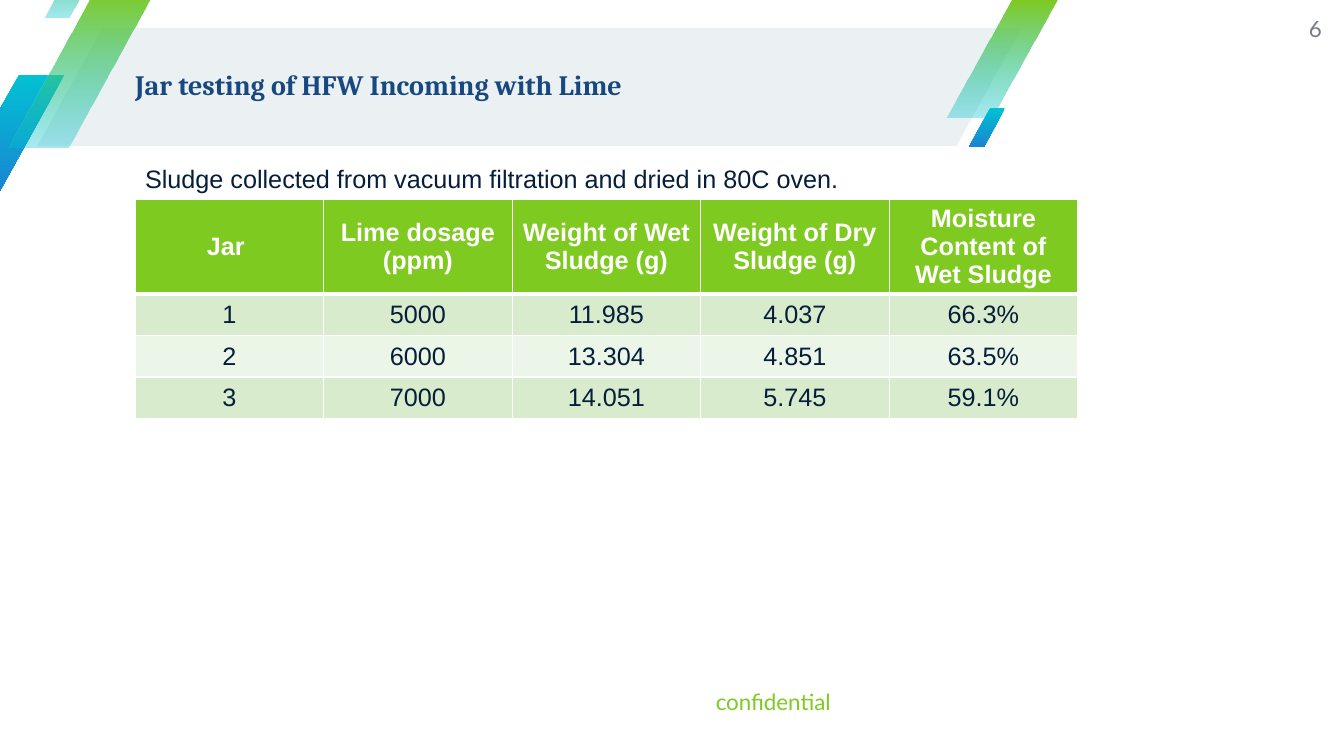
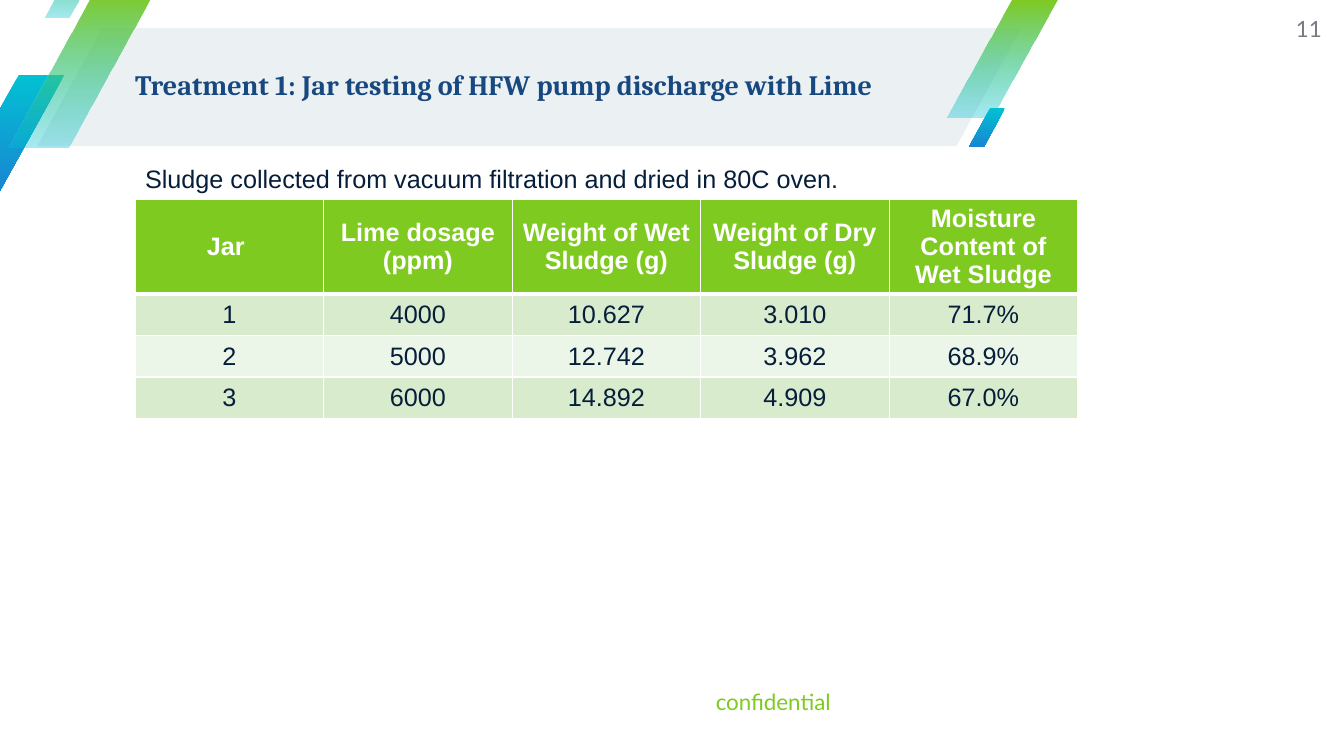
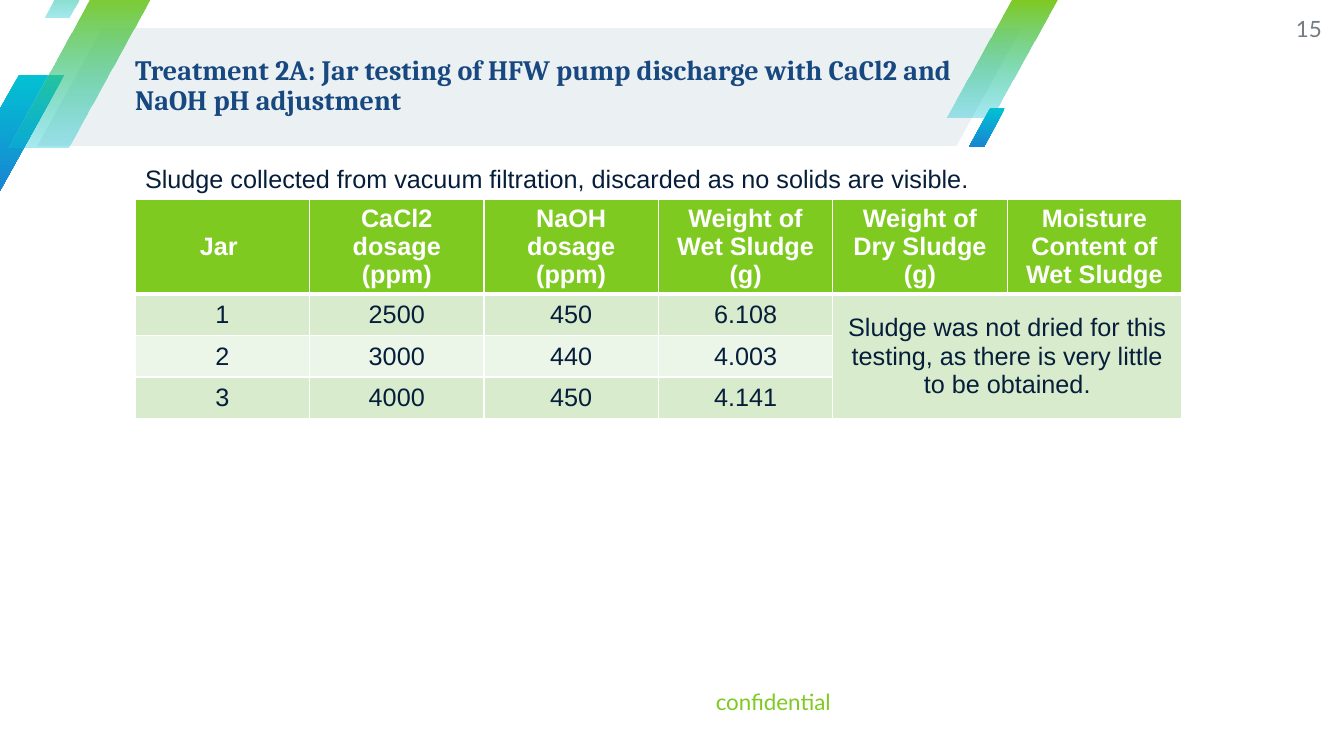
from dataclasses import dataclass

from lxml.etree import SubElement
from pptx import Presentation
from pptx.dml.color import RGBColor
from pptx.enum.shapes import MSO_SHAPE as Shape
from pptx.enum.text import MSO_ANCHOR as Anchor, MSO_AUTO_SIZE as AutoSize, PP_ALIGN as Align
from pptx.oxml.ns import qn
from pptx.util import Inches, Pt


@dataclass(frozen=True)
class Theme:
    green: str = "7FCA20"
    cyan: str = "02C1D3"
    blue: str = "1985D2"
    band: str = "EBF0F3"
    title: str = "184880"
    ink: str = "061E3A"
    gray: str = "757C83"
    white: str = "FFFFFF"
    row_dark: str = "D8ECCD"
    row_light: str = "ECF6E8"
    title_font: str = "Cambria"
    body_font: str = "Arial"
    label_font: str = "Lato"
    title_size: int = 20
    body_size: int = 18
    label_size: int = 16


THEME = Theme()
LEFT = 1.34
GREEN_FADE = (THEME.green, THEME.cyan, 34)
BLUE_FADE = (THEME.cyan, THEME.blue, 100)
STRIPES = [
    (-0.46, 0.74, 1.1, 1.17, BLUE_FADE),
    (9.39, 0, 1.1, 1.17, GREEN_FADE),
    (0.08, -0.1, 1.46, 1.56, GREEN_FADE),
    (0.44, -0.48, 0.61, 0.65, GREEN_FADE),
    (9.61, 1.07, 0.36, 0.39, BLUE_FADE),
]


def write(frame, text, font=THEME.body_font, size=THEME.body_size, color=THEME.ink,
          bold=False, align=Align.LEFT, spacing=None):
    paragraph = frame.paragraphs[0]
    paragraph.alignment = align
    paragraph.line_spacing = spacing
    run = paragraph.add_run()
    run.text = text
    run.font.name = font
    run.font.size = Pt(size)
    run.font.bold = bold
    run.font.color.rgb = RGBColor.from_string(color)


class Deck:
    """Holds the theme, the presentation and the slide being built."""

    def __init__(self, theme):
        self.theme = theme
        self.presentation = Presentation()
        self.presentation.slide_width = Inches(13.33)
        self.presentation.slide_height = Inches(7.5)
        self.slide = None

    def add_slide(self, title, number):
        theme = self.theme
        self.slide = self.presentation.slides.add_slide(self.presentation.slide_layouts[5])
        band = self.parallelogram(0.37, 0.28, 9.76, 1.17, 0.55)
        band.fill.solid()
        band.fill.fore_color.rgb = RGBColor.from_string(theme.band)
        for *box, fade in STRIPES:
            self.stripe(*box, fade)
        self.label("confidential", 4.67, 6.67, 3.57, theme.green)
        self.title(title)
        self.label(number, 12.48, 0, 0.63, theme.gray)

    def parallelogram(self, left, top, width, height, slant):
        shape = self.slide.shapes.add_shape(
            Shape.PARALLELOGRAM, Inches(left), Inches(top), Inches(width), Inches(height))
        shape.adjustments[0] = slant
        shape.shadow.inherit = False
        shape.line.fill.background()
        return shape

    def stripe(self, left, top, width, height, fade):
        start, end, opacity = fade
        shape = self.parallelogram(left, top, width, height, 0.59)
        shape.fill.gradient()
        shape.fill.gradient_angle = 270
        for stop, color in zip(shape.fill.gradient_stops, (start, end)):
            stop.color.rgb = RGBColor.from_string(color)
        if opacity < 100:
            last_color = list(shape.element.iter(qn("a:srgbClr")))[-1]
            SubElement(last_color, qn("a:alpha"), val=str(opacity * 1000))

    def plain_frame(self, shape):
        frame = shape.text_frame
        frame.word_wrap = True
        frame.auto_size = AutoSize.NONE
        frame.vertical_anchor = Anchor.MIDDLE
        frame.margin_left = frame.margin_right = frame.margin_top = frame.margin_bottom = 0
        return frame

    def title(self, text):
        shape = self.slide.shapes.title
        shape.left, shape.top = Inches(LEFT), Inches(0.26)
        shape.width, shape.height = Inches(8.79), Inches(1.19)
        self.slide.shapes.element.append(shape.element)
        write(self.plain_frame(shape), text, font=self.theme.title_font,
              size=self.theme.title_size, color=self.theme.title, bold=True, spacing=0.9)

    def label(self, text, left, top, width, color):
        shape = self.slide.shapes.add_textbox(
            Inches(left), Inches(top), Inches(width), Inches(0.57))
        write(self.plain_frame(shape), text, font=self.theme.label_font,
              size=self.theme.label_size, color=color, align=Align.RIGHT)

    def note(self, text, width):
        shape = self.slide.shapes.add_textbox(
            Inches(LEFT), Inches(1.57), Inches(width), Inches(0.4))
        shape.text_frame.word_wrap = False
        shape.text_frame.auto_size = AutoSize.SHAPE_TO_FIT_TEXT
        write(shape.text_frame, text)

    def table(self, rows, column_width, merged=None):
        heights = [0.79] + [0.41] * (len(rows) - 1)
        columns = len(rows[0])
        table = self.slide.shapes.add_table(
            len(rows), columns, Inches(LEFT), Inches(1.98),
            Inches(column_width * columns), Inches(sum(heights))).table
        for column in table.columns:
            column.width = Inches(column_width)
        for row, height in zip(table.rows, heights):
            row.height = Inches(height)
        for row_index, values in enumerate(rows):
            for column_index in range(columns):
                text = values[column_index] if column_index < len(values) else ""
                self.cell(table.cell(row_index, column_index), text, row_index)
        if merged:
            first, last = merged
            table.cell(*first).merge(table.cell(*last))

    def cell(self, cell, text, row_index):
        theme = self.theme
        header = row_index == 0
        top, bottom = (3 if row_index == 1 else 1), (3 if header else 1)
        properties = cell._tc.get_or_add_tcPr()
        for side, points in (("L", 1), ("R", 1), ("T", top), ("B", bottom)):
            line = SubElement(properties, qn(f"a:ln{side}"), w=str(Pt(points)))
            SubElement(SubElement(line, qn("a:solidFill")), qn("a:srgbClr"), val=theme.white)
        fill = theme.green if header else theme.row_dark if row_index % 2 else theme.row_light
        cell.fill.solid()
        cell.fill.fore_color.rgb = RGBColor.from_string(fill)
        cell.vertical_anchor = Anchor.MIDDLE
        if text:
            write(cell.text_frame, text, bold=header, align=Align.CENTER,
                  color=theme.white if header else theme.ink)


def main():
    deck = Deck(THEME)
    dried = "Sludge collected from vacuum filtration and dried in 80C oven."
    weights = ["Weight of Wet Sludge (g)", "Weight of Dry Sludge (g)",
               "Moisture Content of Wet Sludge"]
    lime_header = ["Jar ", "Lime dosage (ppm)", *weights]
    lime_tests = [
        ("Jar testing of HFW Incoming with Lime", "6", [
            ["1", "5000", "11.985", "4.037", "66.3%"],
            ["2", "6000", "13.304", "4.851", "63.5%"],
            ["3", "7000", "14.051", "5.745", "59.1%"]]),
        ("Treatment 1: Jar testing of HFW pump discharge with Lime", "11", [
            ["1", "4000", "10.627", "3.010", "71.7%"],
            ["2", "5000", "12.742", "3.962", "68.9%"],
            ["3", "6000", "14.892", "4.909", "67.0%"]]),
    ]
    for title, number, rows in lime_tests:
        deck.add_slide(title, number)
        deck.table([lime_header, *rows], 1.87)
        deck.note(dried, 7.14)

    deck.add_slide("Treatment 2A: Jar testing of HFW pump discharge with CaCl2 and "
                   "NaOH pH adjustment", "15")
    deck.table([
        ["Jar ", "CaCl2 dosage (ppm)", "NaOH dosage (ppm)", *weights],
        ["1", "2500", "450", "6.108", "Sludge was not dried for this testing, "
         "as there is very little to be obtained."],
        ["2", "3000", "440", "4.003"],
        ["3", "4000", "450", "4.141"],
    ], 1.73, merged=((1, 4), (3, 5)))
    deck.note("Sludge collected from vacuum filtration, discarded as no solids are visible.", 8.38)
    deck.presentation.save("out.pptx")


if __name__ == "__main__":
    main()
